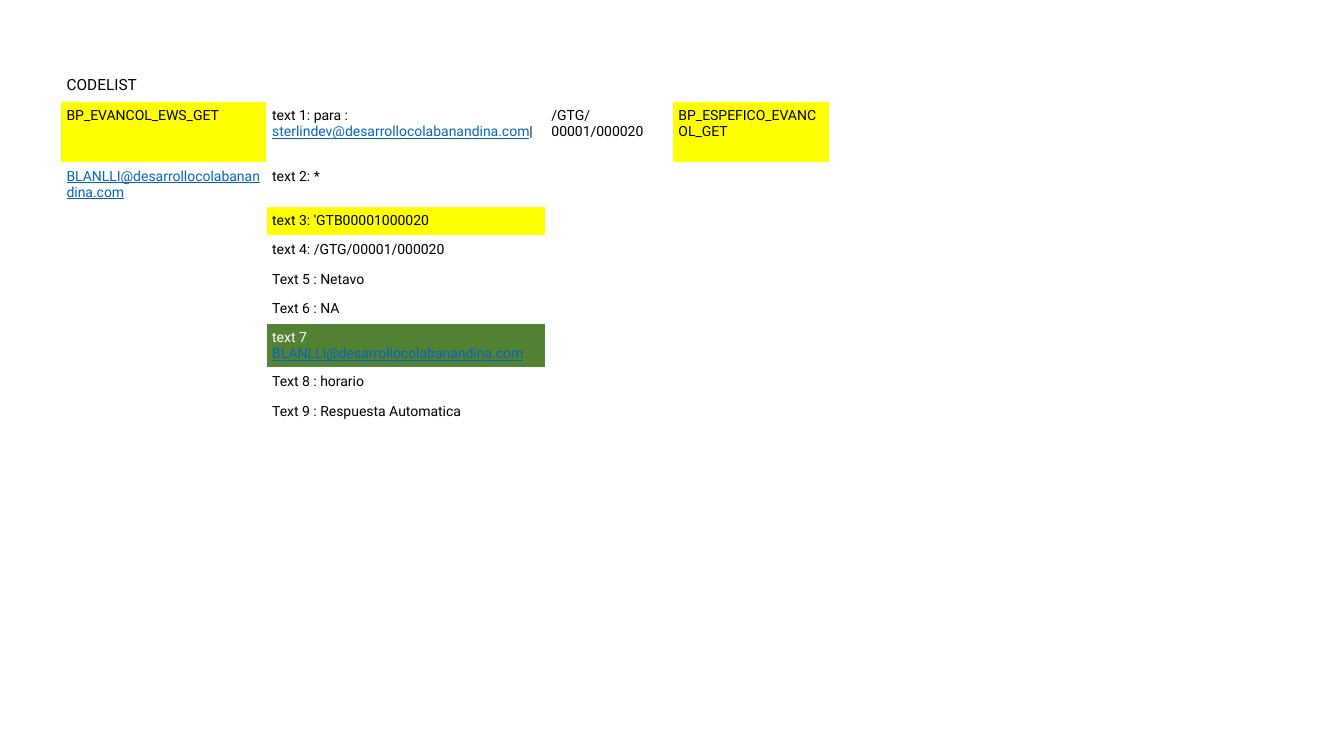
from lxml.etree import SubElement
from pptx import Presentation
from pptx.dml.color import RGBColor
from pptx.oxml.ns import qn
from pptx.util import Inches, Pt

BLACK = RGBColor(0, 0, 0)
WHITE = RGBColor(255, 255, 255)
YELLOW = RGBColor(255, 255, 0)
GREEN = RGBColor(0x54, 0x82, 0x35)
LINK_BLUE = RGBColor(0x05, 0x63, 0xC1)

FONT = "Roboto"
MARGIN = Inches(0.06)
COLUMN_WIDTHS = [2.04, 2.77, 1.26, 1.56]
ROW_HEIGHTS = [0.3, 0.6, 0.44, 0.28, 0.28, 0.28, 0.28, 0.44, 0.28, 0.28]
OWNER_ADDRESS = "BLANLLI@desarrollocolabanandina.com"

# Each cell is a list of text pieces; pieces holding "@" are styled as links.
CODELIST = [
    [["CODELIST"], [], [], []],
    [
        ["BP_EVANCOL_EWS_GET"],
        ["text 1: para : ", "sterlindev@desarrollocolabanandina.com", "|"],
        ["/GTG/00001/000020"],
        ["BP_ESPEFICO_EVANCOL_GET"],
    ],
    [[OWNER_ADDRESS], ["text 2: *"], [], []],
    [[], ["text 3: 'GTB00001000020"], [], []],
    [[], ["text 4: /GTG/00001/000020"], [], []],
    [[], ["Text 5 : Netavo"], [], []],
    [[], ["Text 6 : NA"], [], []],
    [[], ["text 7 ", OWNER_ADDRESS], [], []],
    [[], ["Text 8 : horario"], [], []],
    [[], ["Text 9 : Respuesta Automatica"], [], []],
]
FILLS = {(1, 0): YELLOW, (1, 3): YELLOW, (3, 1): YELLOW, (7, 1): GREEN}


def fill_cell(cell, pieces, fill, size):
    cell.fill.solid()
    cell.fill.fore_color.rgb = fill
    cell.margin_left = cell.margin_right = MARGIN
    cell.margin_top = cell.margin_bottom = MARGIN
    para = cell.text_frame.paragraphs[0]
    for piece in pieces:
        span = para.add_run()
        span.text = piece
        span.font.name = FONT
        span.font.size = Pt(size)
        is_link = "@" in piece
        span.font.underline = is_link
        text_color = WHITE if fill == GREEN else BLACK
        span.font.color.rgb = LINK_BLUE if is_link else text_color
    if not pieces:
        # An empty cell needs a small text size so that it does not stretch its row.
        SubElement(para._p, qn("a:endParaRPr"), sz=str(size * 100))


def add_codelist(page, left, top):
    frame = page.shapes.add_table(
        len(ROW_HEIGHTS), len(COLUMN_WIDTHS), left, top,
        Inches(sum(COLUMN_WIDTHS)), Inches(sum(ROW_HEIGHTS)),
    )
    table = frame.table
    table.first_row = False
    table.horz_banding = False
    for column, width in zip(table.columns, COLUMN_WIDTHS):
        column.width = Inches(width)
    for row, height in zip(table.rows, ROW_HEIGHTS):
        row.height = Inches(height)
    for row_index, row in enumerate(CODELIST):
        size = 11 if row_index == 0 else 10
        for column_index, pieces in enumerate(row):
            fill = FILLS.get((row_index, column_index), WHITE)
            fill_cell(table.cell(row_index, column_index), pieces, fill, size)


def main():
    deck = Presentation()
    deck.slide_width = Inches(13.33)
    deck.slide_height = Inches(7.5)
    page = deck.slides.add_slide(deck.slide_layouts[6])
    add_codelist(page, Inches(0.6), Inches(0.7))
    deck.save("out.pptx")


if __name__ == "__main__":
    main()
